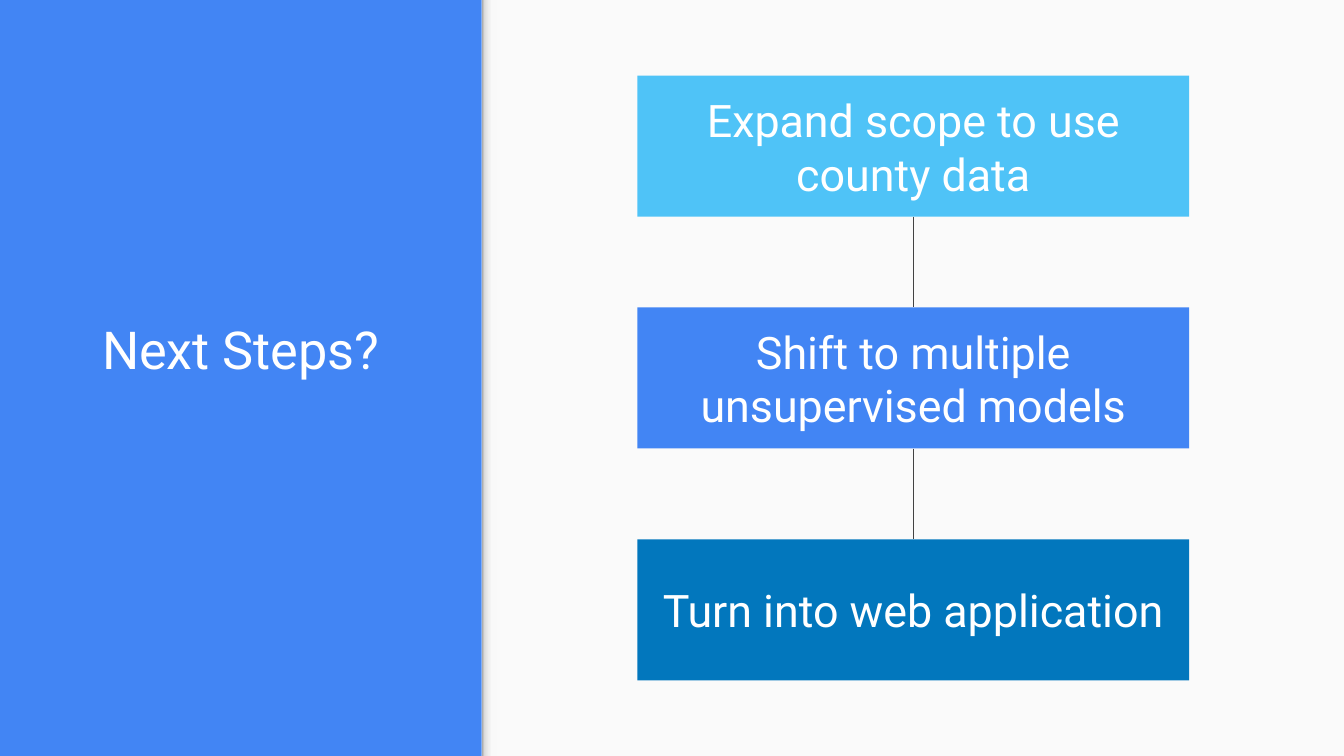
"""Build the "Next Steps?" slide: a title panel beside three linked steps."""
import copy

import pptx
import pptx.dml.color
import pptx.enum.shapes
import pptx.enum.text
import pptx.oxml
import pptx.oxml.ns
import pptx.util

Pt = pptx.util.Pt
RGB = pptx.dml.color.RGBColor.from_string
RECT = pptx.enum.shapes.MSO_SHAPE.RECTANGLE
ANCHOR = pptx.enum.text.MSO_ANCHOR
COLORS = {
    "blue": "4285F4", "sky": "4FC3F7", "deep": "0277BD", "paper": "FAFAFA",
    "white": "FFFFFF", "line": "424242",
    "edge_dark": "999999", "edge_mid": "DEDEDE", "edge_light": "F9F9F9",
}


def add_rect(s, x, y, w, h, color):
    sp = s.shapes.add_shape(RECT, Pt(x), Pt(y), Pt(w), Pt(h))
    sp.shadow.inherit = False
    sp.line.fill.background()
    sp.fill.solid()
    sp.fill.fore_color.rgb = RGB(COLORS[color])
    return sp


def set_text(sp, text, size, anchor):
    tf = sp.text_frame
    tf.word_wrap = True
    tf.vertical_anchor = anchor
    tf.margin_left = tf.margin_right = tf.margin_top = tf.margin_bottom = Pt(7.2)
    p = tf.paragraphs[0]
    p.text = text
    p.alignment = pptx.enum.text.PP_ALIGN.CENTER
    p.font.name = "Roboto"
    p.font.size = Pt(size)
    p.font.color.rgb = RGB(COLORS["white"])


W, H = 720, 405
PANEL_W = 258
prs = pptx.Presentation()
prs.slide_width, prs.slide_height = Pt(W), Pt(H)
s = prs.slides.add_slide(prs.slide_layouts[6])
s.background.fill.solid()
s.background.fill.fore_color.rgb = RGB(COLORS["blue"])

add_rect(s, PANEL_W, 0, W - PANEL_W, H, "paper")
edge = add_rect(s, PANEL_W, 0, 8.5, H, "edge_light")
edge.fill.gradient()
edge.fill.gradient_angle = 0
gs_list = edge._element.spPr.find(".//" + pptx.oxml.ns.qn("a:gsLst"))
gs_list.insert(1, copy.deepcopy(gs_list[0]))
stops = [(0, "edge_dark"), (0.2, "edge_mid"), (0.64, "edge_light")]
for stop, (position, color) in zip(edge.fill.gradient_stops, stops):
    stop.position = position
    stop.color.rgb = RGB(COLORS[color])

title = s.shapes.add_textbox(Pt(18.5), Pt(136), Pt(221), Pt(75))
set_text(title, "Next Steps?", 28, ANCHOR.BOTTOM)

BOX_X, BOX_Y, BOX_W, BOX_H, PITCH = 341.5, 40.5, 295.5, 75.6, 124.2
steps = [
    ("Expand scope to use county data", "sky"),
    ("Shift to multiple unsupervised models", "blue"),
    ("Turn into web application", "deep"),
]
boxes = []
for i, (text, color) in enumerate(steps):
    sp = add_rect(s, BOX_X, BOX_Y + i * PITCH, BOX_W, BOX_H, color)
    set_text(sp, text, 24, ANCHOR.MIDDLE)
    boxes.append(sp)

for upper, lower in zip(boxes, boxes[1:]):
    link = s.shapes.add_connector(pptx.enum.shapes.MSO_CONNECTOR.STRAIGHT, 0, 0, 0, 0)
    link.begin_connect(upper, 2)
    link.end_connect(lower, 0)
    link.line.color.rgb = RGB(COLORS["line"])
    link.line.width = Pt(0.75)
    link._element.spPr.append(pptx.oxml.parse_xml(
        f"<a:effectLst {pptx.oxml.ns.nsdecls('a')}/>"))

prs.save("out.pptx")
